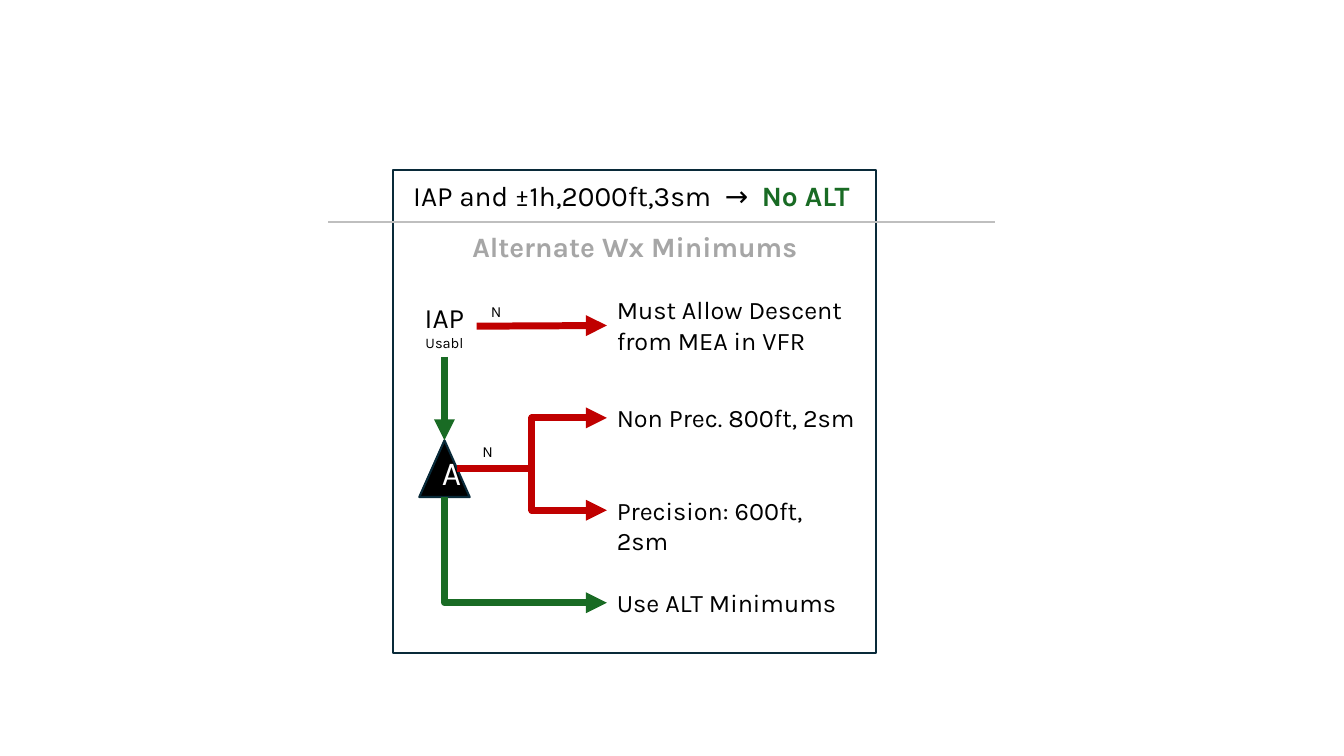
from dataclasses import dataclass

from lxml import etree
from pptx import Presentation
from pptx.dml.color import RGBColor
from pptx.enum.shapes import MSO_CONNECTOR, MSO_SHAPE
from pptx.enum.text import MSO_ANCHOR, MSO_AUTO_SIZE, PP_ALIGN
from pptx.oxml.ns import qn
from pptx.util import Pt

STRAIGHT, ELBOW = MSO_CONNECTOR.STRAIGHT, MSO_CONNECTOR.ELBOW
RECTANGLE, TRIANGLE = MSO_SHAPE.RECTANGLE, MSO_SHAPE.ISOSCELES_TRIANGLE
TOP, BOTTOM = MSO_ANCHOR.TOP, MSO_ANCHOR.BOTTOM
LEFT, CENTER = PP_ALIGN.LEFT, PP_ALIGN.CENTER
GROW = MSO_AUTO_SIZE.SHAPE_TO_FIT_TEXT
TOP_SITE, LEFT_SITE, BOTTOM_SITE, RIGHT_SITE = range(4)


@dataclass(frozen=True)
class Theme:
    font: str = "Karla"
    black: RGBColor = RGBColor(0x00, 0x00, 0x00)
    white: RGBColor = RGBColor(0xFF, 0xFF, 0xFF)
    navy: RGBColor = RGBColor(0x09, 0x2A, 0x39)
    rule: RGBColor = RGBColor(0xBF, 0xBF, 0xBF)
    heading: RGBColor = RGBColor(0xA6, 0xA6, 0xA6)
    yes: RGBColor = RGBColor(0x19, 0x6B, 0x24)
    no: RGBColor = RGBColor(0xC0, 0x00, 0x00)
    large: float = 20
    body: float = 18
    note: float = 11
    small: float = 10.5
    symbol: float = 24
    outline: float = 1.5
    arrow: float = 5


THEME = Theme()


@dataclass(frozen=True)
class Area:
    left: float
    top: float
    width: float
    height: float


@dataclass(frozen=True)
class Label:
    area: Area
    lines: tuple[str, ...]
    size: float
    align: PP_ALIGN = CENTER


@dataclass(frozen=True)
class Arrow:
    start: tuple[float, float]
    end: tuple[float, float]
    color: RGBColor
    kind: MSO_CONNECTOR = STRAIGHT


def place(shape, area: Area) -> None:
    shape.left, shape.top = Pt(area.left), Pt(area.top)
    shape.width, shape.height = Pt(area.width), Pt(area.height)


def style_font(font, size: float, color: RGBColor, bold: bool = False) -> None:
    font.name, font.size, font.bold = THEME.font, Pt(size), bold
    font.color.rgb = color


def fill_text(shape, lines: tuple[str, ...], size: float, align: PP_ALIGN,
              color: RGBColor = THEME.black, bold: bool = False) -> None:
    frame = shape.text_frame
    frame.text = "\n".join(lines)
    frame.word_wrap = True
    for para in frame.paragraphs:
        para.alignment = align
        style_font(para.font, size, color, bold)


def add_label(slide, label: Label):
    area = label.area
    box = slide.shapes.add_textbox(
        Pt(area.left), Pt(area.top), Pt(area.width), Pt(area.height))
    fill_text(box, label.lines, label.size, label.align)
    box.text_frame.auto_size = GROW
    return box


def add_outlined(slide, kind: MSO_SHAPE, area: Area):
    shape = slide.shapes.add_shape(
        kind, Pt(area.left), Pt(area.top), Pt(area.width), Pt(area.height))
    shape.shadow.inherit = False
    shape.fill.background()
    shape.line.color.rgb = THEME.navy
    shape.line.width = Pt(THEME.outline)
    return shape


def add_line(slide, arrow: Arrow, width: float, head: bool = True):
    line = slide.shapes.add_connector(
        arrow.kind, *(Pt(value) for value in arrow.start + arrow.end))
    line.line.color.rgb = arrow.color
    line.line.width = Pt(width)
    if head:
        etree.SubElement(line.line._ln, qn("a:tailEnd"), type="triangle")
    etree.SubElement(line._element.spPr, qn("a:effectLst"))
    return line


def add_corner(slide, arrow: Arrow):
    """Arrow that runs down and then right: a quarter-turned, flipped elbow."""
    (x1, y1), (x2, y2) = arrow.start, arrow.end
    middle_x, middle_y = (x1 + x2) / 2, (y1 + y2) / 2
    half_width, half_height = (y2 - y1) / 2, (x2 - x1) / 2
    turned = Arrow((middle_x + half_width, middle_y - half_height),
                   (middle_x - half_width, middle_y + half_height),
                   arrow.color, ELBOW)
    line = add_line(slide, turned, THEME.arrow)
    properties = line._element.spPr
    properties.find(qn("a:xfrm")).set("rot", str(270 * 60000))
    properties.find(qn("a:prstGeom")).set("prst", "bentConnector2")
    return line


# Layout: four outcomes, evenly spaced by their first arrows
CARD = Area(281, 121.5, 345, 345)
OUTCOME_LEFT, FIRST_ROW, ROW_STEP = 433.5, 232.5, 66
ROWS = [FIRST_ROW + ROW_STEP * index for index in range(4)]
OUTCOMES = (
    ("Must Allow Descent from MEA in VFR", 186, 51),
    ("Non Prec. 800ft, 2sm", 210, 29),
    ("Precision: 600ft, 2sm", 186, 29),
    ("Use ALT Minimums", 186, 29),
)
SYMBOL = Area(299.5, 314.5, 36, 40.5)
SYMBOL_MIDDLE = SYMBOL.left + SYMBOL.width / 2
FORK_START = (SYMBOL.left + SYMBOL.width * 0.75, SYMBOL.top + SYMBOL.height / 2)
NO_MARKS = ((343.5, 212.5), (337.5, 312))


def build() -> None:
    deck = Presentation()
    deck.slide_width, deck.slide_height = Pt(960), Pt(540)
    page = deck.slides.add_slide(deck.slide_layouts[5])

    # Title
    title = page.shapes.title
    place(title, Area(CARD.left, 160.5, CARD.width, 31.5))
    fill_text(title, ("Alternate Wx Minimums",), THEME.large, CENTER,
              THEME.heading, bold=True)
    title.text_frame.vertical_anchor = TOP
    title.text_frame.auto_size = GROW

    # Card, rule and the no-alternate condition
    add_outlined(page, RECTANGLE, CARD)
    add_line(page, Arrow((234.5, 158.5), (710.5, 158.5), THEME.rule),
             THEME.outline, head=False)
    condition = add_label(page, Label(
        Area(CARD.left, 124, CARD.width, 31.5),
        ("IAP and ±1h,2000ft,3sm  →  ",), THEME.large))
    verdict = condition.text_frame.paragraphs[0].add_run()
    verdict.text = "No ALT "
    style_font(verdict.font, THEME.large, THEME.yes, bold=True)

    # Decision points
    approach = add_label(page, Label(
        Area(294.5, 211, 46, 44), ("IAP", "Usable"), THEME.large))
    approach.text_frame.paragraphs[1].font.size = Pt(THEME.small)
    symbol = add_outlined(page, TRIANGLE, SYMBOL)
    symbol.fill.solid()
    symbol.fill.fore_color.rgb = THEME.black
    fill_text(symbol, ("A",), THEME.symbol, CENTER, THEME.white)
    symbol.text_frame.vertical_anchor = BOTTOM

    # Outcomes
    outcomes = [
        add_label(page, Label(Area(OUTCOME_LEFT, row - height / 2, width, height),
                              (text,), THEME.body, LEFT))
        for row, (text, width, height) in zip(ROWS, OUTCOMES)]

    # Arrows
    add_corner(page, Arrow((SYMBOL_MIDDLE, SYMBOL.top + SYMBOL.height),
                           (OUTCOME_LEFT, ROWS[3]), THEME.yes))
    for row in ROWS[1:3]:
        add_line(page, Arrow(FORK_START, (OUTCOME_LEFT, row), THEME.no, ELBOW),
                 THEME.arrow)
    unusable = add_line(page, Arrow((340.5, 233), (OUTCOME_LEFT, ROWS[0]), THEME.no),
                        THEME.arrow)
    unusable.begin_connect(approach, RIGHT_SITE)
    unusable.end_connect(outcomes[0], LEFT_SITE)
    usable = add_line(page, Arrow((SYMBOL_MIDDLE, 255), (SYMBOL_MIDDLE, SYMBOL.top),
                                  THEME.yes), THEME.arrow)
    usable.begin_connect(approach, BOTTOM_SITE)
    usable.end_connect(symbol, TOP_SITE)

    # "No" marks on the red branches
    for left, top in NO_MARKS:
        add_label(page, Label(Area(left, top, 21.5, 21), ("N",), THEME.note))

    deck.save("out.pptx")


if __name__ == "__main__":
    build()
